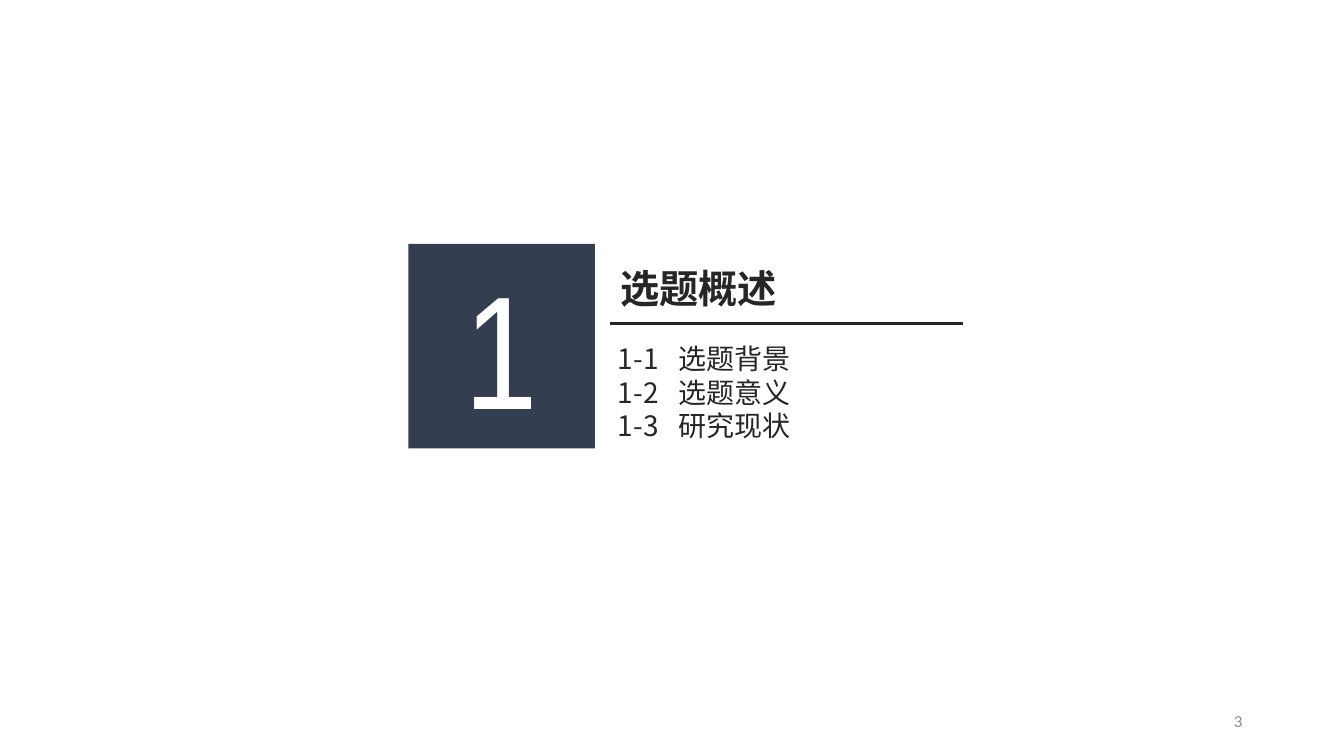
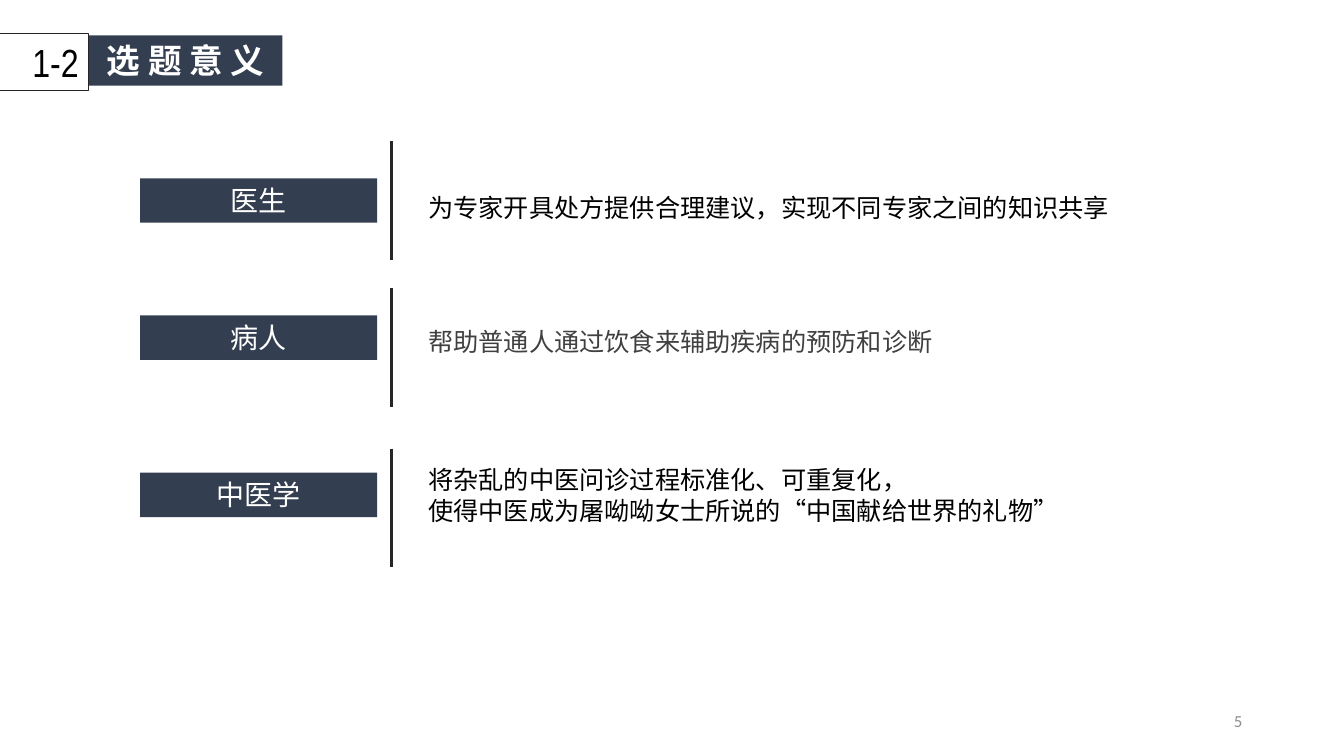
from dataclasses import dataclass

from lxml import etree
from pptx import Presentation, util as u
from pptx.dml import color
from pptx.enum import shapes, text
from pptx.oxml import ns

EMU_PER_PX = 9144
LEFT, CENTER, RIGHT = text.PP_ALIGN.LEFT, text.PP_ALIGN.CENTER, text.PP_ALIGN.RIGHT


@dataclass(frozen=True)
class Theme:
    navy: str = "333F50"
    ink: str = "262626"
    grey: str = "404040"
    pale: str = "8C8C8C"
    black: str = "000000"
    white: str = "FFFFFF"
    cjk: str = "Noto Sans CJK SC"
    narrow: str = "Arial Narrow"
    footer: str = "Calibri"
    numeral: int = 115
    heading: int = 28
    header: int = 24
    label: int = 20
    body: int = 18
    small: int = 12
    leading: float = 1.2


THEME = Theme()


def px(length):
    return u.Emu(length * EMU_PER_PX)


def rgb(value):
    return color.RGBColor.from_string(value)


def add_tab_stop(para, position):
    properties = para._p.get_or_add_pPr()
    tabs = etree.SubElement(properties, ns.qn("a:tabLst"))
    etree.SubElement(tabs, ns.qn("a:tab"), pos=str(px(position)), algn="l")


def write(box, content, *, size, ink, font=THEME.cjk, bold=False, align=LEFT,
          anchor=text.MSO_ANCHOR.TOP, grow=True, tab=None):
    frame = box.text_frame
    frame.word_wrap = True
    frame.vertical_anchor = anchor
    frame.auto_size = (text.MSO_AUTO_SIZE.SHAPE_TO_FIT_TEXT if grow
                       else text.MSO_AUTO_SIZE.NONE)
    for index, line in enumerate(content.split("\n")):
        para = frame.add_paragraph() if index else frame.paragraphs[0]
        para.alignment = align
        if font == THEME.cjk:
            para.line_spacing = u.Pt(size * THEME.leading)
        if tab:
            add_tab_stop(para, tab)
        span = para.add_run()
        span.text = line
        span.font.name = font
        span.font.size = u.Pt(size)
        span.font.bold = bold
        span.font.color.rgb = rgb(ink)
        east_asian = etree.Element(ns.qn("a:ea"), typeface=font)
        span.font._element.find(ns.qn("a:latin")).addnext(east_asian)


def add_text(page, at, content, **style):
    box = page.shapes.add_textbox(*map(px, at))
    write(box, content, **style)


def add_block(page, at, content, *, fill=None, outline=None, **style):
    box = page.shapes.add_shape(shapes.MSO_SHAPE.RECTANGLE, *map(px, at))
    box.shadow.inherit = False
    if fill:
        box.fill.solid()
        box.fill.fore_color.rgb = rgb(fill)
    else:
        box.fill.background()
    if outline:
        box.line.color.rgb = rgb(outline)
        box.line.width = u.Pt(0.75)
    else:
        box.line.fill.background()
    write(box, content, **style)


def add_rule(page, *ends):
    rule = page.shapes.add_connector(shapes.MSO_CONNECTOR.STRAIGHT, *map(px, ends))
    rule.line.color.rgb = rgb(THEME.ink)
    rule.line.width = u.Pt(2)
    etree.SubElement(rule._element.spPr, ns.qn("a:effectLst"))


def set_title(page, at, content, *, fill=None, **style):
    title = page.shapes.title
    title.left, title.top, title.width, title.height = map(px, at)
    if fill:
        title.fill.solid()
        title.fill.fore_color.rgb = rgb(fill)
    write(title, content, bold=True, grow=False, **style)


def add_page(deck, number):
    page = deck.slides.add_slide(deck.slide_layouts.get_by_name("Title Only"))
    add_text(page, (942, 695, 300, 40), str(number), size=THEME.small,
             ink=THEME.pale, font=THEME.footer, align=RIGHT,
             anchor=text.MSO_ANCHOR.MIDDLE, grow=False)
    return page


def build_section(deck):
    page = add_page(deck, 3)
    add_block(page, (405, 242, 185, 203), "1", fill=THEME.navy,
              size=THEME.numeral, ink=THEME.white, font=THEME.narrow, align=CENTER)
    set_title(page, (605, 257, 293, 57), "选题概述", size=THEME.heading, ink=THEME.ink)
    add_rule(page, 605, 321, 955, 321)
    add_text(page, (603, 334, 352, 111),
             "1-1\t选题背景\n1-2\t选题意义\n1-3\t研究现状",
             size=THEME.label, ink=THEME.ink, tab=60)


def add_benefit(page, rule_top, label_top, body_top, label, body, ink):
    add_block(page, (139, label_top, 235, 44), label, fill=THEME.navy,
              size=THEME.label, ink=THEME.white, align=CENTER)
    add_rule(page, 388, rule_top, 388, rule_top + 118)
    height = 40 + 31 * body.count("\n")
    add_text(page, (415, body_top, 827, height), body, size=THEME.body, ink=ink)


def build_significance(deck):
    page = add_page(deck, 5)
    add_block(page, (-2, 33, 90, 57), "1-2", outline=THEME.ink, size=THEME.heading,
              ink=THEME.black, font=THEME.narrow, align=RIGHT)
    set_title(page, (88, 35, 192, 50), "选 题 意 义", fill=THEME.navy,
              size=THEME.header, ink=THEME.white, align=CENTER)
    benefits = [
        (140, 177, 186, "医生",
         "为专家开具处方提供合理建议，实现不同专家之间的知识共享", THEME.black),
        (286, 313, 319, "病人",
         "帮助普通人通过饮食来辅助疾病的预防和诊断", THEME.grey),
        (445, 469, 456, "中医学",
         "将杂乱的中医问诊过程标准化、可重复化，\n"
         "使得中医成为屠呦呦女士所说的“中国献给世界的礼物”", THEME.black),
    ]
    for benefit in benefits:
        add_benefit(page, *benefit)


def main():
    deck = Presentation()
    deck.slide_width, deck.slide_height = px(1333), px(750)
    build_section(deck)
    build_significance(deck)
    deck.save("out.pptx")


if __name__ == "__main__":
    main()
